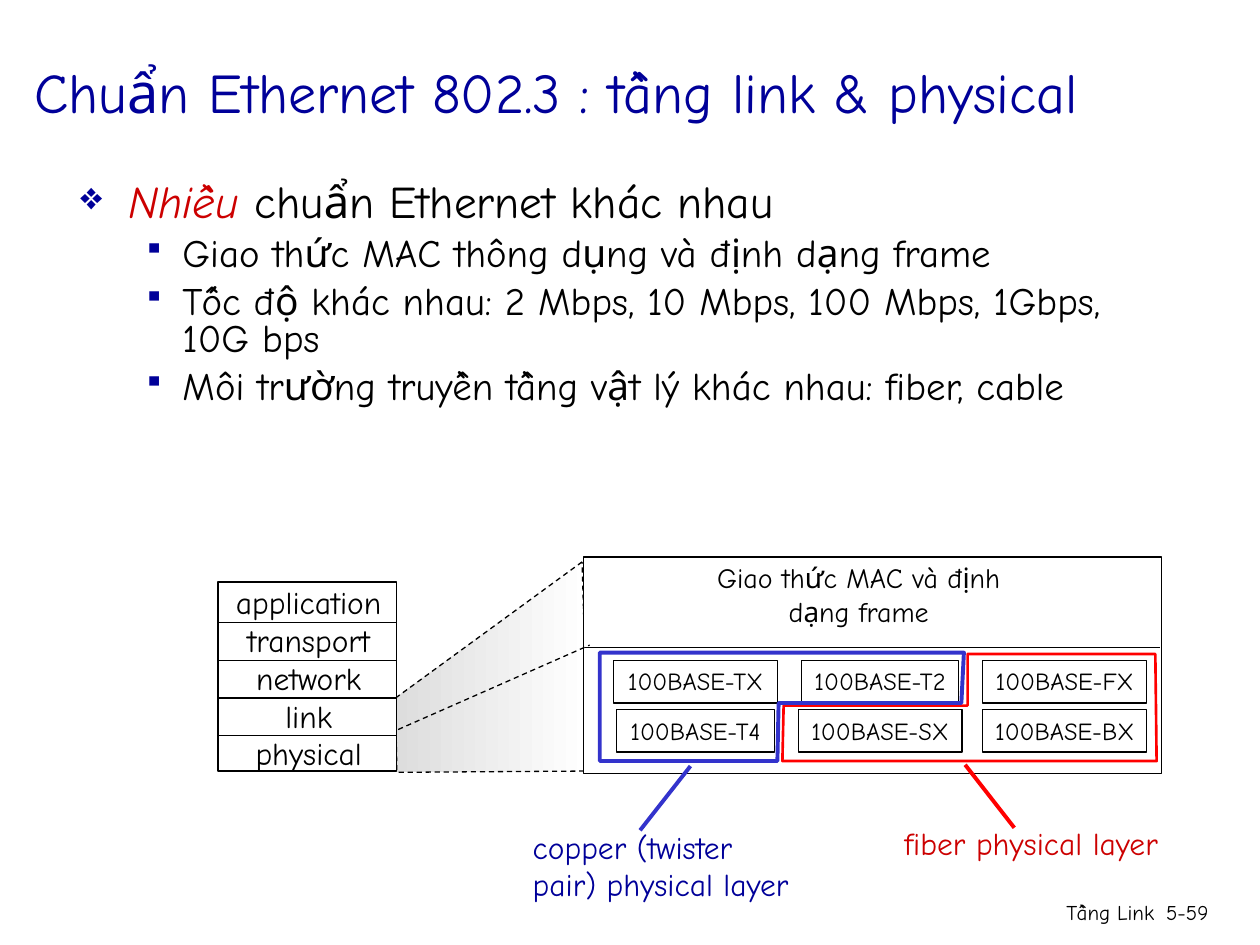
from lxml import etree
from pptx import Presentation
from pptx.dml.color import RGBColor
from pptx.enum.dml import MSO_LINE
from pptx.enum.shapes import MSO_CONNECTOR, MSO_SHAPE
from pptx.enum.text import MSO_ANCHOR, MSO_AUTO_SIZE, PP_ALIGN
from pptx.oxml.ns import qn
from pptx.util import Inches, Pt

LEFT, CENTER, RIGHT = PP_ALIGN.LEFT, PP_ALIGN.CENTER, PP_ALIGN.RIGHT
TOP, MIDDLE, NO_FIT = MSO_ANCHOR.TOP, MSO_ANCHOR.MIDDLE, MSO_AUTO_SIZE.NONE
RECT, STRAIGHT, DASH = MSO_SHAPE.RECTANGLE, MSO_CONNECTOR.STRAIGHT, MSO_LINE.DASH
FONT = "Comic Neue"
HEX = {"black": "000000", "white": "FFFFFF", "gray": "DDDDDD", "navy": "000099",
       "crimson": "CC0000", "red": "FF0000", "blue": "3333CC"}
C = {name: RGBColor.from_string(value) for name, value in HEX.items()}


def write(sp, lines, size, colour="black", align=LEFT, wrap=True, anchor=TOP):
    """Fill a shape with one paragraph per line; a line is a list of (text, colour, italic) or a string."""
    tf = sp.text_frame
    tf.word_wrap, tf.vertical_anchor, tf.auto_size = wrap, anchor, NO_FIT
    for i, line in enumerate(lines):
        p = tf.paragraphs[0] if i == 0 else tf.add_paragraph()
        p.alignment = align
        for text, run_colour, italic in [(line, colour, False)] if isinstance(line, str) else line:
            r = p.add_run()
            r.text = text
            r.font.name, r.font.size, r.font.italic = FONT, Pt(size), italic
            r.font.color.rgb = C[run_colour]
    return tf


def outline(points, colour="black", width=0.75, close=True):
    """Draw an unfilled path through points given in inches."""
    xy = [(Inches(x), Inches(y)) for x, y in points]
    builder = s.shapes.build_freeform(*xy[0], scale=1.0)
    builder.add_line_segments(xy[1:], close=close)
    sp = builder.convert_to_shape()
    sp.shadow.inherit = False
    sp.fill.background()
    sp.line.color.rgb, sp.line.width = C[colour], Pt(width)
    return sp


prs = Presentation()
prs.slide_width, prs.slide_height = Inches(10), Inches(7.5)
s = prs.slides.add_slide(prs.slide_layouts[5])

# Title and footer
title = s.shapes.title
title.left, title.top, title.width, title.height = map(Inches, (0.17, 0.1, 9.53, 1.25))
write(title, ["Chuẩn Ethernet 802.3 : tầng link & physical"], 32, "navy", anchor=MIDDLE)
for text, x, w in [("Tầng Link", 6.09, 3.17), ("5-59", 8.95, 0.74)]:
    sp = s.shapes.add_textbox(*map(Inches, (x, 7.09, w, 0.5)))
    write(sp, [text], 12, align=RIGHT)

# Bulleted list
sp = s.shapes.add_textbox(*map(Inches, (0.54, 1.41, 8.5, 2.3)))
tf = write(sp, [
    [("Nhiều ", "crimson", True), ("chuẩn Ethernet khác nhau", "black", False)],
    "Giao thức MAC thông dụng và định dạng frame",
    "Tốc độ khác nhau: 2 Mbps, 10 Mbps, 100 Mbps, 1Gbps, 10G bps",
    "Môi trường truyền tầng vật lý khác nhau: fiber, cable",
], 22.2)
for i, p in enumerate(tf.paragraphs):
    margin, hang, mark, share = (0.81, 0.31, "▪", 75) if i else (0.38, 0.38, "❖", 85)
    pPr = p._p.get_or_add_pPr()
    pPr.set("marL", str(Inches(margin)))
    pPr.set("indent", str(-Inches(hang)))
    etree.SubElement(etree.SubElement(pPr, qn("a:buClr")), qn("a:srgbClr"), val=HEX["navy"])
    etree.SubElement(pPr, qn("a:buSzPct"), val=str(share * 1000))
    etree.SubElement(pPr, qn("a:buChar"), char=mark)
    p.line_spacing = 0.8
    if i:
        p.space_before = Pt(6)
for r in tf.paragraphs[0].runs:
    r.font.size = Pt(25.9)

# Shaded zoom from the stack to the detail panel
zoom = outline([(4.62, 4.46), (3.14, 5.54), (3.15, 6.13), (4.67, 6.12)])
zoom.line.dash_style = DASH
zoom.fill.gradient()
zoom.fill.gradient_angle = 180
for stop, name, position in zip(zoom.fill.gradient_stops, ("white", "gray"), (0, 1)):
    stop.color.rgb, stop.position = C[name], position

# Protocol stack and detail panel
STACK_X, STACK_W, ROW_Y, ROW_H = 1.73, 1.42, 4.94, 0.3
for box in [(STACK_X, 4.62, STACK_W, 1.5), (4.63, 4.42, 4.59, 1.72)]:
    sp = s.shapes.add_shape(RECT, *map(Inches, box))
    sp.shadow.inherit = False
    sp.fill.solid()
    sp.fill.fore_color.rgb = C["white"]
    sp.line.color.rgb, sp.line.width = C["black"], Pt(0.75)
sp = s.shapes.add_textbox(*map(Inches, (1.65, 4.58, 1.6, 1.6)))
write(sp, ["application", "transport", "network", "link", "physical"], 18, align=CENTER)
sp = s.shapes.add_textbox(*map(Inches, (5.52, 4.4, 2.59, 0.64)))
write(sp, ["Giao thức MAC và định dạng frame"], 16, align=CENTER)

# Dividers and callout leaders
lines = [(STACK_X, ROW_Y + k * ROW_H, STACK_X + STACK_W, ROW_Y + k * ROW_H, "black", 0.75)
         for k in range(4)]
lines += [(4.64, 5.14, 9.21, 5.14, "black", 0.75),
          (7.66, 6.07, 8.05, 6.57, "red", 2.25),
          (5.48, 6.08, 5.08, 6.59, "blue", 2.25)]
for x1, y1, x2, y2, colour, width in lines:
    line = s.shapes.add_connector(STRAIGHT, *map(Inches, (x1, y1, x2, y2)))
    line.line.color.rgb, line.line.width = C[colour], Pt(width)
    etree.SubElement(line._element.spPr, qn("a:effectLst"))
outline([(3.16, 5.79), (4.68, 5.12)], close=False).line.dash_style = DASH

# Physical layer standards, centred in three columns
for row, names in enumerate([("TX", "T2", "FX"), ("T4", "SX", "BX")]):
    for col, name in enumerate(names):
        w = 1.25 if name in ("T2", "T4") else 1.3
        x = 5.52 + 1.465 * col - w / 2
        sp = s.shapes.add_shape(RECT, *map(Inches, (x, 5.24 + 0.39 * row, w, 0.34)))
        sp.shadow.inherit = False
        sp.fill.background()
        sp.line.color.rgb, sp.line.width = C["black"], Pt(0.75)
        tf = write(sp, ["100BASE-" + name], 14, align=CENTER, wrap=False)
        tf.margin_left = tf.margin_right = Inches(0.02)

# Fiber and copper families
outline([(7.68, 5.19), (7.68, 5.6), (6.22, 5.6), (6.21, 6.04), (9.18, 6.04), (9.17, 5.19)],
        "red", 1.5)
outline([(7.65, 5.18), (7.63, 5.58), (6.18, 5.58), (6.17, 6.04), (4.76, 6.04), (4.76, 5.18)],
        "blue", 2.25)
for text, colour, box in [
    (["fiber physical layer"], "crimson", (7.08, 6.49, 2.4, 0.4)),
    (["copper (twister", "pair) physical layer"], "navy", (4.13, 6.52, 2.4, 0.7)),
]:
    write(s.shapes.add_textbox(*map(Inches, box)), text, 18, colour)

prs.save("out.pptx")
